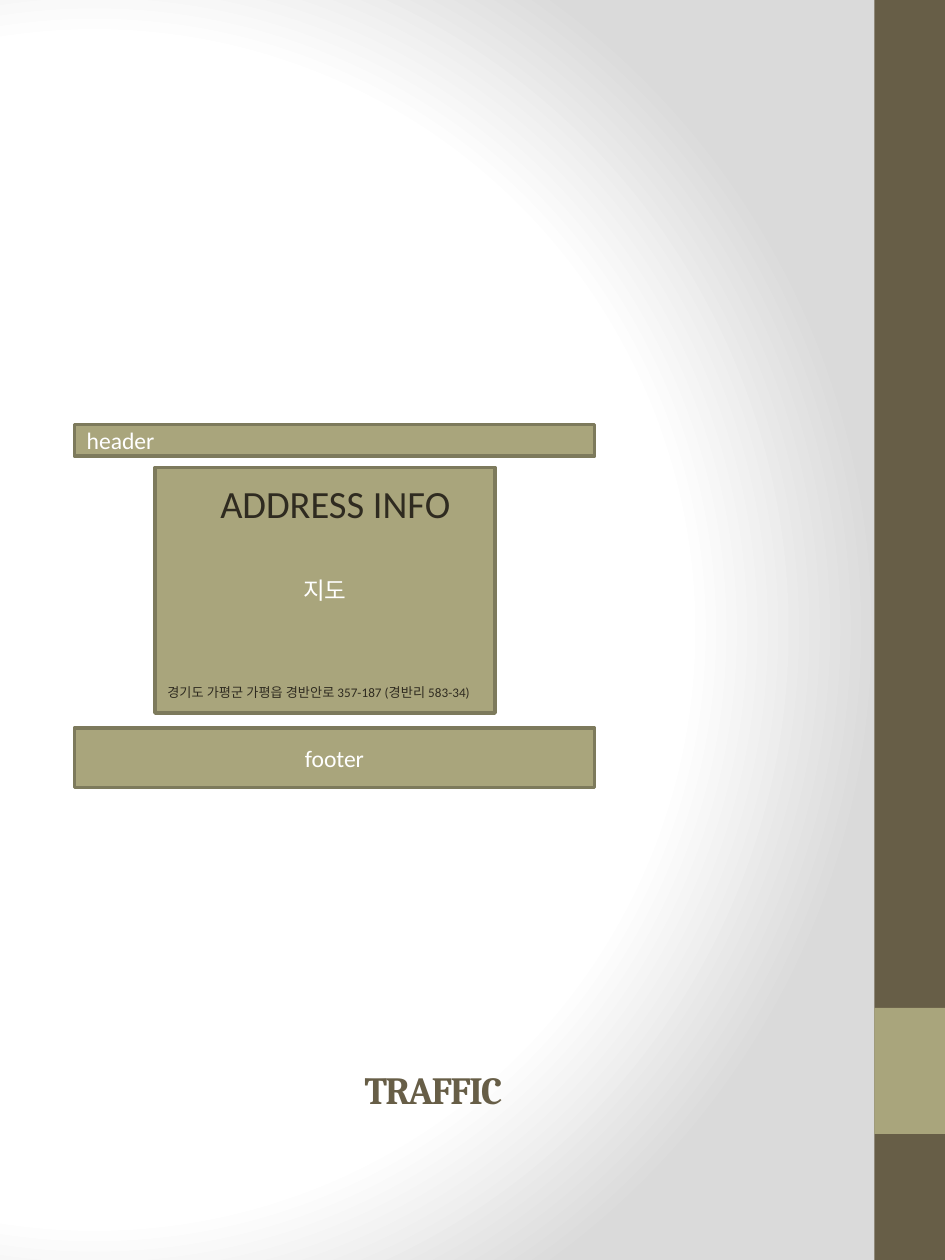
from lxml import etree
from pptx import Presentation
from pptx.dml.color import RGBColor
from pptx.enum.shapes import MSO_SHAPE as Shape
from pptx.enum.text import MSO_ANCHOR as Anchor, MSO_AUTO_SIZE as AutoSize, PP_ALIGN as Align
from pptx.oxml import parse_xml
from pptx.oxml.ns import nsdecls, qn
from pptx.util import Inches, Pt

BROWN = "675E47"
OLIVE = "A9A57C"
OLIVE_EDGE = "7D7A5C"
INK = "2F2B20"
WHITE = "FFFFFF"
GREY = "DADADA"


def color(value):
    return RGBColor.from_string(value)


def place(shape, left, top, width, height):
    shape.left, shape.top = Inches(left), Inches(top)
    shape.width, shape.height = Inches(width), Inches(height)


def write(shape, text, size, ink, align=Align.LEFT, anchor=Anchor.TOP, font="Calibri"):
    frame = shape.text_frame
    frame.text = text
    frame.word_wrap = True
    frame.vertical_anchor = anchor
    paragraph = frame.paragraphs[0]
    paragraph.alignment = align
    run = paragraph.runs[0]
    run.font.name = font
    run.font.size = Pt(size)
    run.font.color.rgb = color(ink)
    return paragraph


def add_bar(shapes, left, top, width, height, fill):
    bar = shapes.add_shape(
        Shape.RECTANGLE, Inches(left), Inches(top), Inches(width), Inches(height)
    )
    bar.shadow.inherit = False
    bar.fill.solid()
    bar.fill.fore_color.rgb = color(fill)
    bar.line.fill.background()
    return bar


def add_panel(shapes, left, top, width, height, text, align=Align.CENTER):
    panel = add_bar(shapes, left, top, width, height, OLIVE)
    panel.line.color.rgb = color(OLIVE_EDGE)
    panel.line.width = Pt(2)
    write(panel, text, 13.5, WHITE, align, Anchor.MIDDLE)


def add_text(shapes, left, top, width, height, text, size):
    box = shapes.add_textbox(Inches(left), Inches(top), Inches(width), Inches(height))
    return box, write(box, text, size, INK)


def add_bullet(paragraph):
    properties = paragraph._p.get_or_add_pPr()
    properties.set("marL", str(Inches(0.38)))
    properties.set("indent", str(Inches(-0.25)))
    bullet_color = etree.SubElement(properties, qn("a:buClr"))
    etree.SubElement(bullet_color, qn("a:srgbClr"), val=OLIVE)
    etree.SubElement(properties, qn("a:buFont"), typeface="Arial")
    etree.SubElement(properties, qn("a:buChar"), char="•")


def set_background(slide):
    slide.background.fill.gradient()
    gradient = slide.element.find(".//" + qn("a:gradFill"))
    stops = "".join(
        f'<a:gs pos="{position * 1000}"><a:srgbClr val="{value}"/></a:gs>'
        for position, value in ((0, WHITE), (75, WHITE), (100, GREY))
    )
    radial = parse_xml(
        f'<a:gradFill {nsdecls("a")} rotWithShape="1"><a:gsLst>{stops}</a:gsLst>'
        '<a:path path="circle">'
        '<a:fillToRect l="20000" t="50000" r="100000" b="50000"/>'
        "</a:path></a:gradFill>"
    )
    gradient.getparent().replace(gradient, radial)


def set_title(slide, text):
    title = slide.shapes.title
    place(title, 0.25, 8.01, 6.38, 0.87)
    paragraph = write(title, text, 22, BROWN, Align.CENTER, Anchor.BOTTOM, "Cambria")
    title.text_frame.auto_size = AutoSize.NONE
    run = paragraph.runs[0]
    run.font.bold = True
    run.font._element.set("spc", "-100")


def main():
    presentation = Presentation()
    presentation.slide_width = Inches(7.5)
    presentation.slide_height = Inches(10)
    slide = presentation.slides.add_slide(presentation.slide_layouts[5])
    shapes = slide.shapes

    set_background(slide)
    add_bar(shapes, 6.94, 0, 0.56, 10, BROWN)
    add_bar(shapes, 6.94, 8, 0.56, 1, OLIVE)
    set_title(slide, "TRAFFIC")

    add_panel(shapes, 1.23, 3.71, 2.7, 1.95, "지도")
    address, _ = add_text(
        shapes, 1.23, 5.38, 2.84, 0.23,
        "경기도 가평군 가평읍 경반안로 357-187 (경반리 583-34)", 7.5,
    )
    address.text_frame.auto_size = AutoSize.SHAPE_TO_FIT_TEXT

    frame_group = shapes.add_group_shape()
    add_panel(frame_group.shapes, 0.59, 3.37, 4.13, 0.25, "header", Align.LEFT)
    add_panel(frame_group.shapes, 0.59, 5.78, 4.13, 0.47, "footer")

    _, heading = add_text(shapes, 1.27, 3.76, 4.13, 3.09, "ADDRESS INFO", 22)
    add_bullet(heading)

    presentation.save("out.pptx")


if __name__ == "__main__":
    main()
